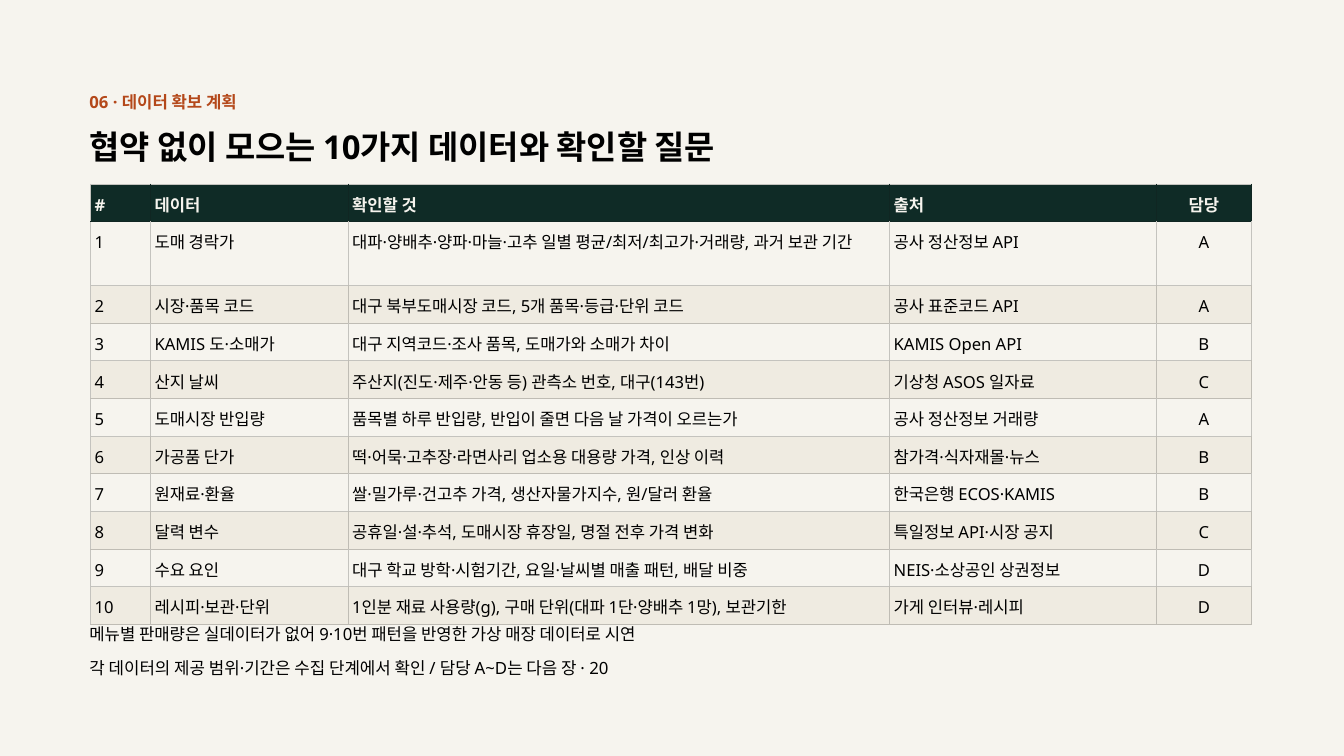
from lxml.etree import SubElement
from pptx import Presentation
from pptx.dml.color import RGBColor
from pptx.enum.text import MSO_ANCHOR, MSO_AUTO_SIZE, PP_ALIGN
from pptx.oxml.ns import qn
from pptx.util import Inches, Pt

PAPER = RGBColor(0xF6, 0xF4, 0xEE)
BAND = RGBColor(0xEF, 0xEB, 0xE1)
GREEN = RGBColor(0x0F, 0x2B, 0x26)
RUST = RGBColor(0xB4, 0x48, 0x1A)
BLACK = RGBColor(0x00, 0x00, 0x00)
HEADER_LINE = RGBColor(0x10, 0x26, 0x22)
PLAIN_LINE = RGBColor(0xC4, 0xC3, 0xBE)
BAND_LINE = RGBColor(0xBF, 0xBC, 0xB4)

FONT = "Noto Sans"
COLUMN_WIDTHS = [0.89, 2.94, 8.06, 3.97, 1.41]
ROW_HEIGHT = 0.56
CELL_MARGIN = Inches(0.06)

ROWS = [
    ("#", "데이터", "확인할 것", "출처", "담당"),
    ("1", "도매 경락가",
     "대파·양배추·양파·마늘·고추 일별 평균/최저/최고가·거래량, 과거 보관 기간",
     "공사 정산정보 API", "A"),
    ("2", "시장·품목 코드", "대구 북부도매시장 코드, 5개 품목·등급·단위 코드",
     "공사 표준코드 API", "A"),
    ("3", "KAMIS 도·소매가", "대구 지역코드·조사 품목, 도매가와 소매가 차이",
     "KAMIS Open API", "B"),
    ("4", "산지 날씨", "주산지(진도·제주·안동 등) 관측소 번호, 대구(143번)",
     "기상청 ASOS 일자료", "C"),
    ("5", "도매시장 반입량", "품목별 하루 반입량, 반입이 줄면 다음 날 가격이 오르는가",
     "공사 정산정보 거래량", "A"),
    ("6", "가공품 단가", "떡·어묵·고추장·라면사리 업소용 대용량 가격, 인상 이력",
     "참가격·식자재몰·뉴스", "B"),
    ("7", "원재료·환율", "쌀·밀가루·건고추 가격, 생산자물가지수, 원/달러 환율",
     "한국은행 ECOS·KAMIS", "B"),
    ("8", "달력 변수", "공휴일·설·추석, 도매시장 휴장일, 명절 전후 가격 변화",
     "특일정보 API·시장 공지", "C"),
    ("9", "수요 요인", "대구 학교 방학·시험기간, 요일·날씨별 매출 패턴, 배달 비중",
     "NEIS·소상공인 상권정보", "D"),
    ("10", "레시피·보관·단위",
     "1인분 재료 사용량(g), 구매 단위(대파 1단·양배추 1망), 보관기한",
     "가게 인터뷰·레시피", "D"),
]


def write_text(frame, text, size=17.9, color=BLACK, bold=False,
               align=PP_ALIGN.LEFT, line_spacing=30.1):
    paragraph = frame.paragraphs[0]
    paragraph.alignment = align
    paragraph.line_spacing = Pt(line_spacing)
    paragraph.space_before = Pt(0)
    run = paragraph.add_run()
    run.text = text
    run.font.name = FONT
    run.font.size = Pt(size)
    run.font.bold = bold
    run.font.color.rgb = color


def draw_borders(cell, **colors):
    properties = cell._tc.get_or_add_tcPr()
    for side in ("L", "R", "T", "B"):
        line = SubElement(properties, qn(f"a:ln{side}"), w=str(Pt(1)))
        fill = SubElement(line, qn("a:solidFill"))
        SubElement(fill, qn("a:srgbClr"), val=str(colors[side]))


def row_line(row):
    """Line colour of a table row; the outer edge counts as a plain row."""
    if row == 0:
        return HEADER_LINE
    return BAND_LINE if row > 0 and row % 2 == 0 else PLAIN_LINE


class SlideBuilder:
    def __init__(self, presentation):
        self.slide = presentation.slides.add_slide(presentation.slide_layouts[5])
        self.slide.background.fill.solid()
        self.slide.background.fill.fore_color.rgb = PAPER

    def place_text(self, shape, text, top, height, **style):
        shape.left, shape.top = Inches(1.33), Inches(top)
        shape.width, shape.height = Inches(17.85), Inches(height)
        frame = shape.text_frame
        frame.margin_left = frame.margin_right = 0
        frame.margin_top = frame.margin_bottom = 0
        frame.word_wrap = True
        frame.auto_size = MSO_AUTO_SIZE.SHAPE_TO_FIT_TEXT
        frame.vertical_anchor = MSO_ANCHOR.TOP
        write_text(frame, text, **style)

    def title(self, text, top, height, **style):
        self.place_text(self.slide.shapes.title, text, top, height, **style)

    def text(self, text, top, height, **style):
        box = self.slide.shapes.add_textbox(0, 0, 0, 0)
        self.place_text(box, text, top, height, **style)

    def table(self, rows, left, top):
        table = self.slide.shapes.add_table(
            len(rows), len(COLUMN_WIDTHS), Inches(left), Inches(top),
            Inches(sum(COLUMN_WIDTHS)), Inches(ROW_HEIGHT * len(rows))).table
        table.first_row = table.horz_banding = False
        for column, width in zip(table.columns, COLUMN_WIDTHS):
            column.width = Inches(width)
        for row, values in enumerate(rows):
            table.rows[row].height = Inches(ROW_HEIGHT)
            for column, value in enumerate(values):
                self.cell(table.cell(row, column), value, row, column)

    def cell(self, cell, value, row, column):
        is_header = row == 0
        is_last = column == len(COLUMN_WIDTHS) - 1
        cell.margin_left = cell.margin_right = CELL_MARGIN
        cell.margin_top = cell.margin_bottom = CELL_MARGIN
        line = row_line(row)
        draw_borders(cell, L=line if column else PLAIN_LINE, R=line,
                     T=row_line(row - 1), B=line)
        if row % 2:
            cell.fill.background()
        else:
            cell.fill.solid()
            cell.fill.fore_color.rgb = GREEN if is_header else BAND
        write_text(cell.text_frame, value, size=17.8, line_spacing=29.9,
                   color=PAPER if is_header else BLACK, bold=is_header,
                   align=PP_ALIGN.CENTER if is_last else PP_ALIGN.LEFT)


def main():
    presentation = Presentation()
    presentation.slide_width = Inches(20)
    presentation.slide_height = Inches(11.25)
    builder = SlideBuilder(presentation)

    # Heading
    builder.text("06 · 데이터 확보 계획", 1.25, 0.47, color=RUST, bold=True)
    builder.title("협약 없이 모으는 10가지 데이터와 확인할 질문", 1.76, 0.71,
                  size=35.2, bold=True, line_spacing=50.7)

    # Data plan
    builder.table(ROWS, 1.35, 2.74)

    # Notes
    builder.text("메뉴별 판매량은 실데이터가 없어 9·10번 패턴을 반영한 가상 매장 데이터로 시연",
                 9.16, 0.47)
    builder.text("각 데이터의 제공 범위·기간은 수집 단계에서 확인 / 담당 A~D는 다음 장 · 20",
                 9.67, 0.38, size=18, line_spacing=30.2)

    presentation.save("out.pptx")


if __name__ == "__main__":
    main()
